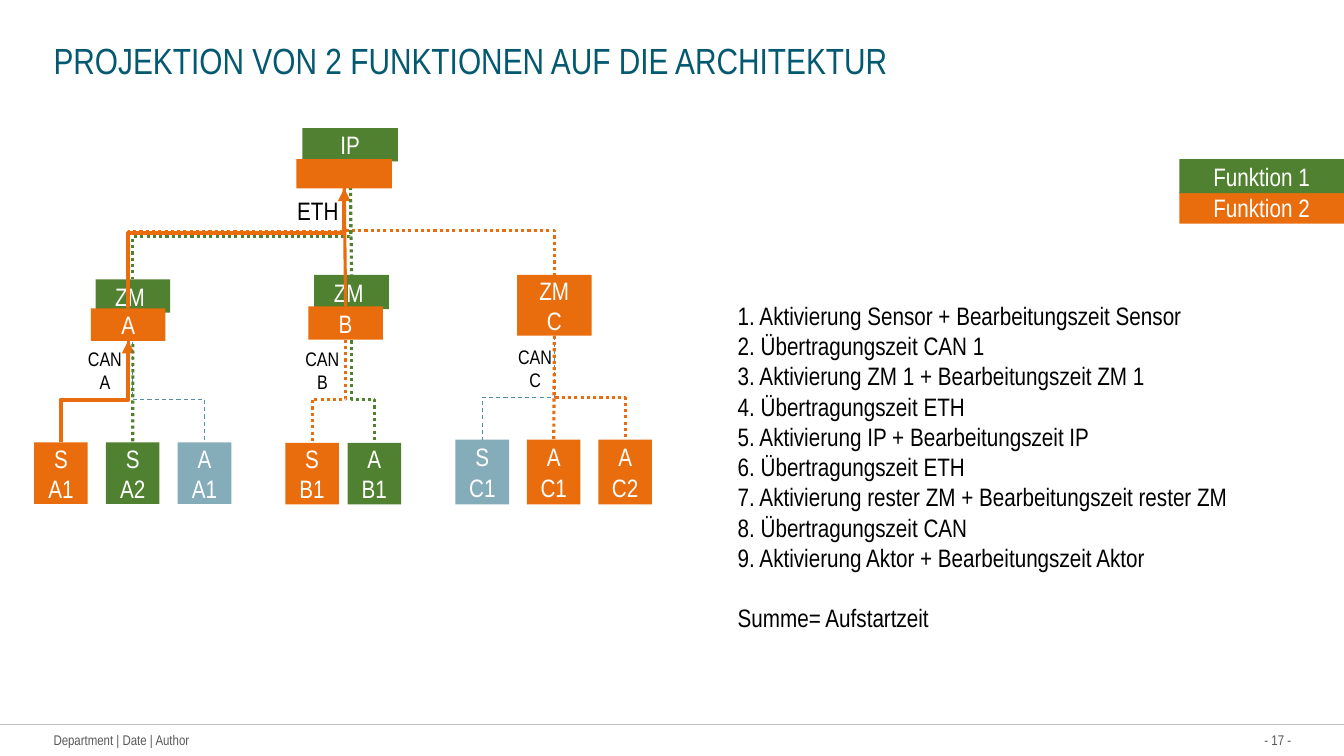
from dataclasses import dataclass

from lxml import etree
from pptx import Presentation, util as u
from pptx.dml.color import RGBColor
from pptx.enum import dml, shapes, text
from pptx.oxml.ns import qn

FONT = "Arial Narrow"
GREEN, ORANGE, GREY_BLUE, BLUE = "508130", "E96D0C", "85ACB9", "548D9E"
WHITE, BLACK, GREY, RULE, TEAL = "FFFFFF", "000000", "595959", "BFBFBF", "035970"
SOLID, DOT, DASH = dml.MSO_LINE.SOLID, dml.MSO_LINE.ROUND_DOT, dml.MSO_LINE.DASH
LEFT, CENTER, RIGHT = text.PP_ALIGN.LEFT, text.PP_ALIGN.CENTER, text.PP_ALIGN.RIGHT
TOP_SIDE, BOTTOM_SIDE = 0, 2


@dataclass(frozen=True)
class Box:
    name: str
    lines: tuple[str, ...]
    left: float
    top: float
    width: float
    height: float
    fill: str

    def point(self, side: int) -> tuple[float, float]:
        y = self.top if side == TOP_SIDE else self.top + self.height
        return self.left + self.width / 2, y


@dataclass(frozen=True)
class Branch:
    left: float
    step: float
    top: float
    height: float
    leaves: tuple[tuple[str, str, str], ...]

    def boxes(self) -> list[Box]:
        return [Box(f"{kind} {number}", (kind, number), self.left + i * self.step,
                    self.top, 1.35, self.height, fill)
                for i, (kind, number, fill) in enumerate(self.leaves)]


@dataclass(frozen=True)
class Label:
    lines: tuple[str, ...]
    left: float
    top: float
    width: float
    height: float
    size: float
    color: str = BLACK
    align: text.PP_ALIGN = CENTER
    inset: float = 0.25


@dataclass(frozen=True)
class Link:
    start: str
    end: str
    color: str
    bend: float = 0
    weight: float = 2.25
    dash: dml.MSO_LINE = DOT
    arrow: bool = False
    upward: bool = False


BRANCHES = (
    Branch(0.86, 1.81, 11.15, 1.55,
           (("S", "A1", ORANGE), ("S", "A2", GREEN), ("A", "A1", GREY_BLUE))),
    Branch(7.19, 1.57, 11.16, 1.55, (("S", "B1", ORANGE), ("A", "B1", GREEN))),
    Branch(11.48, 1.8, 11.08, 1.63,
           (("S", "C1", GREY_BLUE), ("A", "C1", ORANGE), ("A", "C2", ORANGE))),
)
BACK_BOXES = (
    Box("IP green", ("IP",), 7.62, 3.23, 2.41, 0.84, GREEN),
    Box("ZM A green", ("ZM ",), 2.41, 7.04, 1.88, 0.84, GREEN),
    Box("ZM B green", ("ZM ",), 7.92, 6.93, 1.88, 0.86, GREEN),
    Box("ZM C", ("ZM", "C"), 13.03, 6.93, 1.88, 1.53, ORANGE),
    *(box for branch in BRANCHES for box in branch.boxes()),
)
FRONT_BOXES = (
    Box("ZM A orange", ("A",), 2.29, 7.77, 1.88, 0.82, ORANGE),
    Box("IP orange", (), 7.47, 4.01, 2.41, 0.74, ORANGE),
    Box("ZM B orange", ("B",), 7.77, 7.72, 1.88, 0.84, ORANGE),
    Box("Funktion 2", ("Funktion 2",), 29.72, 4.83, 4.15, 0.81, ORANGE),
    Box("Funktion 1", ("Funktion 1",), 29.72, 4.01, 4.15, 0.86, GREEN),
)
LABELS = (
    Label(("CAN", "A"), 1.96, 8.61, 1.37, 1.45, 14),
    Label(("ETH",), 7.24, 4.8, 1.6, 1.02, 18, align=LEFT),
    Label(("CAN", "B"), 7.44, 8.61, 1.37, 1.45, 14),
    Label(("CAN", "C"), 12.8, 8.56, 1.37, 1.45, 14),
    Label(("- 17 -",), 31.5, 18.44, 1.04, 0.43, 10, GREY, RIGHT, 0),
    Label(("Department | Date | Author",), 1.35, 18.44, 3.81, 0.43, 10, GREY, LEFT, 0),
)
ELBOWS = (
    Link("ZM A orange", "IP orange", ORANGE, 5.84, upward=True),
    Link("ZM A orange", "IP orange", ORANGE, 5.87, 3, SOLID, True, True),
    Link("IP green", "ZM A green", GREEN, 5.97),
    Link("ZM A orange", "S A1", ORANGE, 10.06),
    Link("ZM A green", "A A1", BLUE, 10.06, 0.75, DASH),
    Link("ZM B orange", "S B1", ORANGE, 10.06),
    Link("ZM B green", "A B1", GREEN, 10.06),
    Link("ZM C", "S C1", BLUE, 10.01, 0.75, DASH),
    Link("ZM C", "A C2", ORANGE, 10.01),
    Link("IP orange", "ZM C", ORANGE, 5.82),
    Link("S A1", "ZM A orange", ORANGE, 10.08, 3, SOLID, True, True),
)
BACK_STRAIGHTS = (
    Link("ZM C", "A C1", ORANGE),
    Link("IP green", "ZM B green", GREEN),
    Link("ZM A green", "S A2", GREEN),
)
FRONT_STRAIGHTS = (Link("ZM B orange", "IP orange", ORANGE, dash=SOLID, upward=True),)
STEPS = (
    "1. Aktivierung Sensor + Bearbeitungszeit Sensor",
    "2. Übertragungszeit CAN 1",
    "3. Aktivierung ZM 1 + Bearbeitungszeit ZM 1",
    "4. Übertragungszeit ETH",
    "5. Aktivierung IP + Bearbeitungszeit IP",
    "6. Übertragungszeit ETH",
    "7. Aktivierung rester ZM + Bearbeitungszeit rester ZM",
    "8. Übertragungszeit CAN",
    "9. Aktivierung Aktor + Bearbeitungszeit Aktor",
    "Summe= Aufstartzeit",
)
BOXES = {box.name: box for box in BACK_BOXES + FRONT_BOXES}


def rgb(color: str) -> RGBColor:
    return RGBColor.from_string(color)


def write(shape, lines, size, color, align, anchor, inset=0.0, wrap=True) -> None:
    frame = shape.text_frame
    frame.word_wrap, frame.auto_size = wrap, text.MSO_AUTO_SIZE.NONE
    frame.vertical_anchor = anchor
    frame.margin_left = frame.margin_right = u.Cm(inset)
    frame.margin_top = frame.margin_bottom = u.Cm(inset / 2)
    for i, line in enumerate(lines):
        para = frame.add_paragraph() if i else frame.paragraphs[0]
        para.alignment, para.space_before = align, u.Pt(0)
        span = para.add_run()
        span.text = line
        span.font.name, span.font.size = FONT, u.Pt(size)
        span.font.color.rgb = rgb(color)


def place(shape, left: float, top: float, width: float, height: float) -> None:
    shape.left, shape.top = u.Cm(left), u.Cm(top)
    shape.width, shape.height = u.Cm(width), u.Cm(height)


def draw_box(page, box: Box):
    shape = page.shapes.add_shape(shapes.MSO_SHAPE.RECTANGLE, u.Cm(box.left), u.Cm(box.top),
                                  u.Cm(box.width), u.Cm(box.height))
    shape.shadow.inherit = False
    shape.fill.solid()
    shape.fill.fore_color.rgb = rgb(box.fill)
    shape.line.fill.background()
    write(shape, box.lines, 18, WHITE, CENTER, text.MSO_ANCHOR.MIDDLE)
    return shape


def draw_label(page, label: Label) -> None:
    box = page.shapes.add_textbox(u.Cm(label.left), u.Cm(label.top),
                                  u.Cm(label.width), u.Cm(label.height))
    write(box, label.lines, label.size, label.color, label.align,
          text.MSO_ANCHOR.TOP, label.inset, wrap=False)


def draw_line(page, kind, begin, end, color: str, weight: float, dash):
    line = page.shapes.add_connector(kind, *map(u.Cm, (*begin, *end)))
    line.line.color.rgb, line.line.width = rgb(color), u.Pt(weight)
    line.line.dash_style = dash
    etree.SubElement(line._element.spPr, qn("a:effectLst"))
    return line


def sides(link: Link) -> tuple[int, int]:
    return (TOP_SIDE, BOTTOM_SIDE) if link.upward else (BOTTOM_SIDE, TOP_SIDE)


def draw_elbow(page, link: Link) -> None:
    first, last = sides(link)
    x1, y1 = BOXES[link.start].point(first)
    x2, y2 = BOXES[link.end].point(last)
    middle_x, middle_y = (x1 + x2) / 2, (y1 + y2) / 2
    half_x, half_y = (x2 - x1) / 2, (y2 - y1) / 2
    line = draw_line(page, shapes.MSO_CONNECTOR.ELBOW,
                     (middle_x - half_y, middle_y + half_x),
                     (middle_x + half_y, middle_y - half_x),
                     link.color, link.weight, link.dash)
    properties = line._element.spPr
    properties.find(qn("a:xfrm")).set("rot", "5400000")
    geometry = properties.find(qn("a:prstGeom"))
    guides = geometry.find(qn("a:avLst"))
    if guides is None:
        guides = etree.SubElement(geometry, qn("a:avLst"))
    share = round((link.bend - y1) / (y2 - y1) * 100000)
    etree.SubElement(guides, qn("a:gd"), name="adj1", fmla=f"val {share}")
    if link.arrow:
        etree.SubElement(properties.find(qn("a:ln")), qn("a:tailEnd"), type="triangle")


def draw_straight(page, link: Link, drawn: dict) -> None:
    first, last = sides(link)
    line = draw_line(page, shapes.MSO_CONNECTOR.STRAIGHT, BOXES[link.start].point(first),
                     BOXES[link.end].point(last), link.color, link.weight, link.dash)
    line.begin_connect(drawn[link.start], first)
    line.end_connect(drawn[link.end], last)


def fill_placeholders(page) -> None:
    title, body = page.shapes.title, page.placeholders[1]
    place(title, 1.35, 0.97, 31.19, 1.12)
    write(title, ("PROJEKTION VON 2 FUNKTIONEN AUF DIE ARCHITEKTUR",), 26, TEAL, LEFT,
          text.MSO_ANCHOR.TOP)
    place(body, 18.34, 7.44, 15.4, 10.6)
    write(body, STEPS, 18, BLACK, LEFT, text.MSO_ANCHOR.TOP, 0.25)
    for para in body.text_frame.paragraphs:
        layout = para._p.get_or_add_pPr()
        layout.set("marL", "0")
        layout.set("indent", "0")
        etree.SubElement(layout, qn("a:buNone"))
    body.text_frame.paragraphs[-1].space_before = u.Pt(21.6)


def main() -> None:
    deck = Presentation()
    deck.slide_width, deck.slide_height = u.Cm(33.87), u.Cm(19.05)
    page = deck.slides.add_slide(deck.slide_layouts[1])
    fill_placeholders(page)
    draw_line(page, shapes.MSO_CONNECTOR.STRAIGHT, (0, 18.26), (33.87, 18.26), RULE, 1, SOLID)
    drawn = {box.name: draw_box(page, box) for box in BACK_BOXES}
    for label in LABELS:
        draw_label(page, label)
    for link in ELBOWS:
        draw_elbow(page, link)
    for link in BACK_STRAIGHTS:
        draw_straight(page, link, drawn)
    drawn.update({box.name: draw_box(page, box) for box in FRONT_BOXES})
    for link in FRONT_STRAIGHTS:
        draw_straight(page, link, drawn)
    deck.save("out.pptx")


if __name__ == "__main__":
    main()
